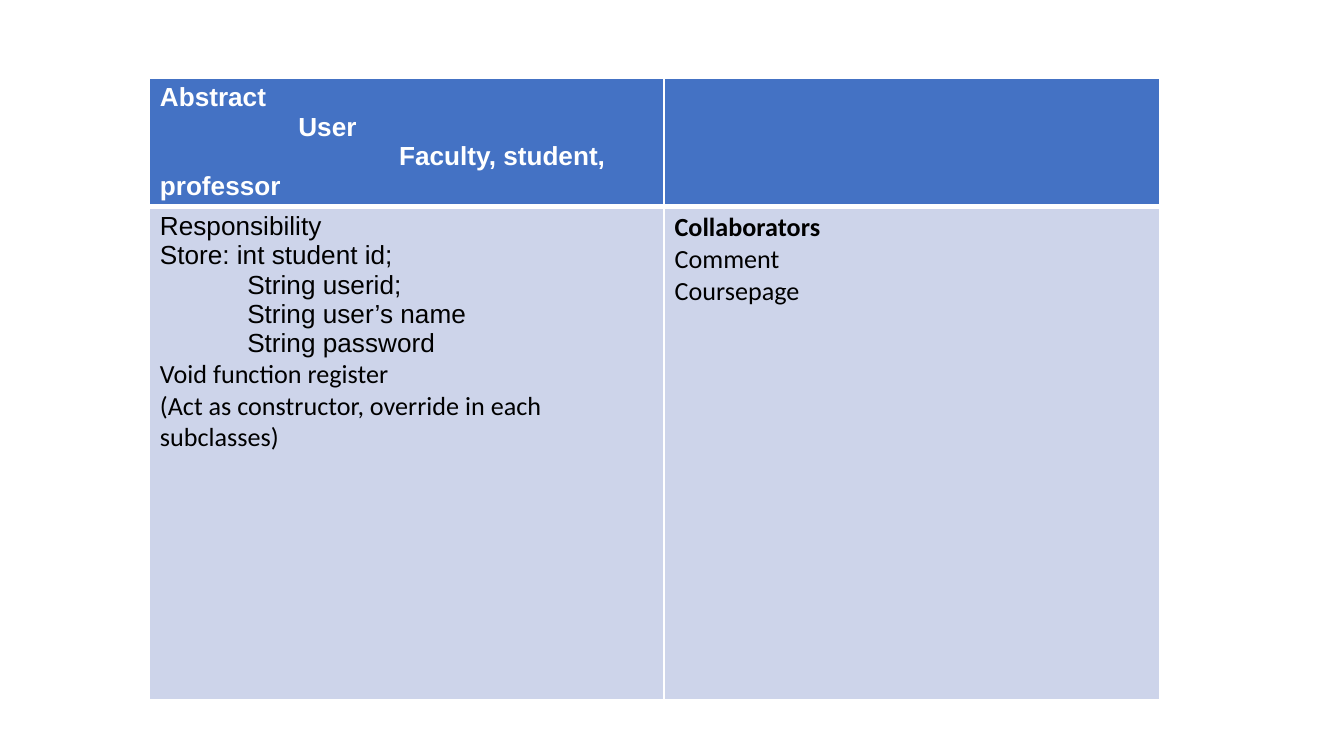
from lxml.etree import SubElement
from pptx import Presentation
from pptx.dml.color import RGBColor
from pptx.oxml.ns import qn
from pptx.util import Emu, Inches, Pt

BLUE, PALE, WHITE, BLACK = "4472C4", "CDD4EA", "FFFFFF", "000000"

# Each line: text, font, bold, first-line indent in inches
HEADER = [
    ("Abstract", "Arial", True, 0),
    ("User", "Arial", True, 1.03),
    ("Faculty, student, professor", "Arial", True, 1.78),
]
RESPONSIBILITY = [
    ("Responsibility", "Arial", False, 0),
    ("Store: int student id;", "Arial", False, 0),
    ("String userid;", "Arial", False, 0.65),
    ("String user’s name", "Arial", False, 0.65),
    ("String password", "Arial", False, 0.65),
    ("Void function register", "Calibri", False, 0),
    ("(Act as constructor, override in each subclasses)", "Calibri", False, 0),
]
COLLABORATORS = [
    ("Collaborators", "Calibri", True, 0),
    ("Comment", "Calibri", False, 0),
    ("Coursepage", "Calibri", False, 0),
]


def rgb(color):
    return RGBColor.from_string(color)


def set_borders(cell, top, bottom):
    """White borders; they must precede the fill in the cell properties."""
    tcPr = cell._tc.get_or_add_tcPr()
    sides = [("lnL", 1), ("lnR", 1), ("lnT", top), ("lnB", bottom)]
    for i, (side, width) in enumerate(sides):
        ln = SubElement(tcPr, qn(f"a:{side}"), w=str(Pt(width)))
        SubElement(SubElement(ln, qn("a:solidFill")), qn("a:srgbClr"), val=WHITE)
        tcPr.insert(i, ln)


def fill_cell(cell, lines, fill, color, top=1, bottom=1):
    cell.fill.solid()
    cell.fill.fore_color.rgb = rgb(fill)
    cell.margin_left = cell.margin_right = Inches(0.08)
    cell.margin_top = cell.margin_bottom = Inches(0.04)
    set_borders(cell, top, bottom)
    tf = cell.text_frame
    tf.text = "\n".join(line[0] for line in lines)
    for p, (_, font, bold, indent) in zip(tf.paragraphs, lines):
        pPr = p._p.get_or_add_pPr()
        pPr.set("marL", "0")
        pPr.set("indent", str(Inches(indent)))
        for r in p.runs:
            r.font.name = font
            r.font.size = Pt(14)
            r.font.bold = bold
            r.font.color.rgb = rgb(color)


def add_card(prs, slide):
    """Class card: header row above responsibilities and collaborators."""
    w, h = prs.slide_width, prs.slide_height
    cols = [Emu(int(w * share)) for share in (0.383, 0.369)]
    rows = [Emu(int(h * share)) for share in (0.17, 0.653)]
    table = slide.shapes.add_table(
        2, 2, int(w * 0.111), int(h * 0.103), sum(cols), sum(rows)
    ).table
    for col, width in zip(table.columns, cols):
        col.width = width
    for row, height in zip(table.rows, rows):
        row.height = height
    # Thick line between the header and the body
    fill_cell(table.cell(0, 0), HEADER, BLUE, WHITE, bottom=3)
    fill_cell(table.cell(0, 1), [], BLUE, WHITE, bottom=3)
    fill_cell(table.cell(1, 0), RESPONSIBILITY, PALE, BLACK, top=3)
    fill_cell(table.cell(1, 1), COLLABORATORS, PALE, BLACK, top=3)


def main():
    prs = Presentation()
    prs.slide_width = Inches(10)
    prs.slide_height = Emu(prs.slide_width * 9 // 16)
    slide = prs.slides.add_slide(prs.slide_layouts[6])
    add_card(prs, slide)
    prs.save("out.pptx")


main()
